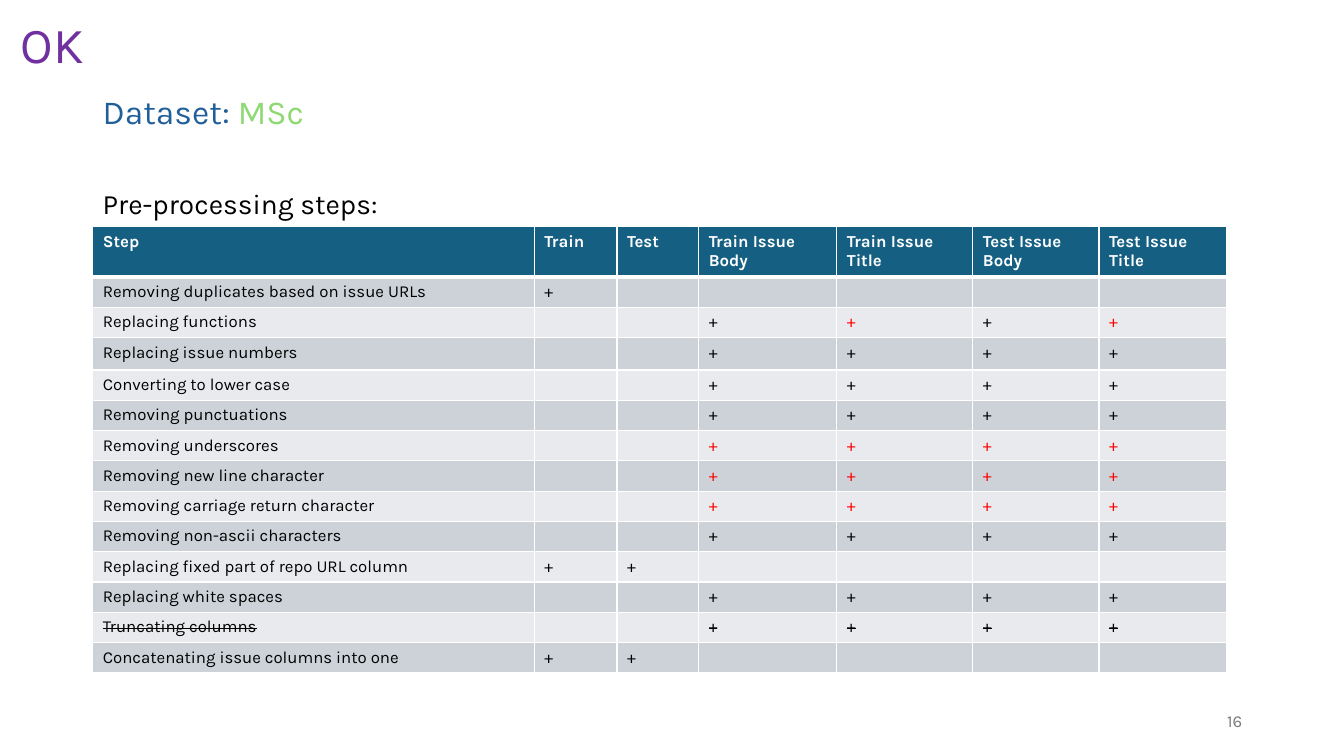
import pptx
import pptx.util
import pptx.dml.color
import pptx.enum.text
import pptx.oxml
import pptx.oxml.ns
import lxml.etree

Inches = pptx.util.Inches
Pt = pptx.util.Pt
ANCHOR = pptx.enum.text.MSO_ANCHOR


def style(font, size, color):
    font.name = "Karla"
    font.size = Pt(size)
    font.color.rgb = pptx.dml.color.RGBColor.from_string(color)


def add_text(box, runs, size, anchor=ANCHOR.TOP):
    sp = slide.shapes.add_textbox(*[Inches(v) for v in box])
    tf = sp.text_frame
    tf.word_wrap = True
    tf.vertical_anchor = anchor
    p = tf.paragraphs[0]
    for text, color in runs:
        r = p.add_run()
        r.text = text
        style(r.font, size, color)
    return p


prs = pptx.Presentation()
prs.slide_width = Inches(13.33)
prs.slide_height = Inches(7.5)
slide = prs.slides.add_slide(prs.slide_layouts[6])

p = add_text((9.42, 6.95, 3, 0.4), [("16", "797979")], 12, ANCHOR.MIDDLE)
p.alignment = pptx.enum.text.PP_ALIGN.RIGHT
add_text((0.92, 1.8, 11.5, 0.44), [("Pre-processing steps:", "000000")], 20)

header = ["Step", "Train", "Test", "Train Issue Body", "Train Issue Title",
          "Test Issue Body", "Test Issue Title"]
marks = {"+": ("+", "000000"), "r": ("+", "FF0000"), ".": ("", "000000")}
steps = [
    ("Removing duplicates based on issue URLs", "+....."),
    ("Replacing functions", "..+r+r"),
    ("Replacing issue numbers", "..++++"),
    ("Converting to lower case", "..++++"),
    ("Removing punctuations", "..++++"),
    ("Removing underscores", "..rrrr"),
    ("Removing new line character", "..rrrr"),
    ("Removing carriage return character", "..rrrr"),
    ("Removing non-ascii characters", "..++++"),
    ("Replacing fixed part of repo URL column", "++...."),
    ("Replacing white spaces", "..++++"),
    ("Truncating columns", "..++++"),
    ("Concatenating issue columns into one", "++...."),
]
rows = [[(text, "FFFFFF") for text in header]]
rows += [[(step, "000000")] + [marks[m] for m in line] for step, line in steps]
struck_row = 12
col_widths = [4.38, 0.82, 0.81, 1.37, 1.35, 1.25, 1.27]
row_heights = [0.5] + [0.3] * len(steps)
row_heights[3] = 0.32

table = slide.shapes.add_table(len(rows), len(header), Inches(0.92), Inches(2.25),
                               Inches(11.25), Inches(4.42)).table
for column, width in zip(table.columns, col_widths):
    column.width = Inches(width)
for i, (row, height) in enumerate(zip(rows, row_heights)):
    table.rows[i].height = Inches(height)
    fill = "156082" if i == 0 else "CCD2D8" if i % 2 else "E8EAED"
    for j, (text, color) in enumerate(row):
        cell = table.cell(i, j)
        p = cell.text_frame.paragraphs[0]
        if text:
            r = p.add_run()
            r.text = text
            style(r.font, 12, color)
            r.font.bold = i == 0
            if i == struck_row:
                r.font._element.set("strike", "sngStrike")
        else:
            end = lxml.etree.SubElement(p._p, pptx.oxml.ns.qn("a:endParaRPr"), sz="1200")
            lxml.etree.SubElement(end, pptx.oxml.ns.qn("a:latin"), typeface="Karla")
        tcPr = cell._tc.get_or_add_tcPr()
        for side in "LRTB":
            thick = (i, side) in ((0, "B"), (1, "T"))
            tcPr.append(pptx.oxml.parse_xml(
                f'<a:ln{side} {pptx.oxml.ns.nsdecls("a")} w="{Pt(3 if thick else 1)}">'
                f'<a:solidFill><a:srgbClr val="FFFFFF"/></a:solidFill></a:ln{side}>'))
        cell.fill.solid()
        cell.fill.fore_color.rgb = pptx.dml.color.RGBColor.from_string(fill)

add_text((0.11, 0.08, 2.13, 0.71), [("OK", "7030A0")], 36)
p = add_text((0.92, 0.4, 12.41, 1.45), [("Dataset: ", "215F9A"), ("MSc", "8ED973")], 24,
             ANCHOR.MIDDLE)
p.line_spacing = 0.9

prs.save("out.pptx")
